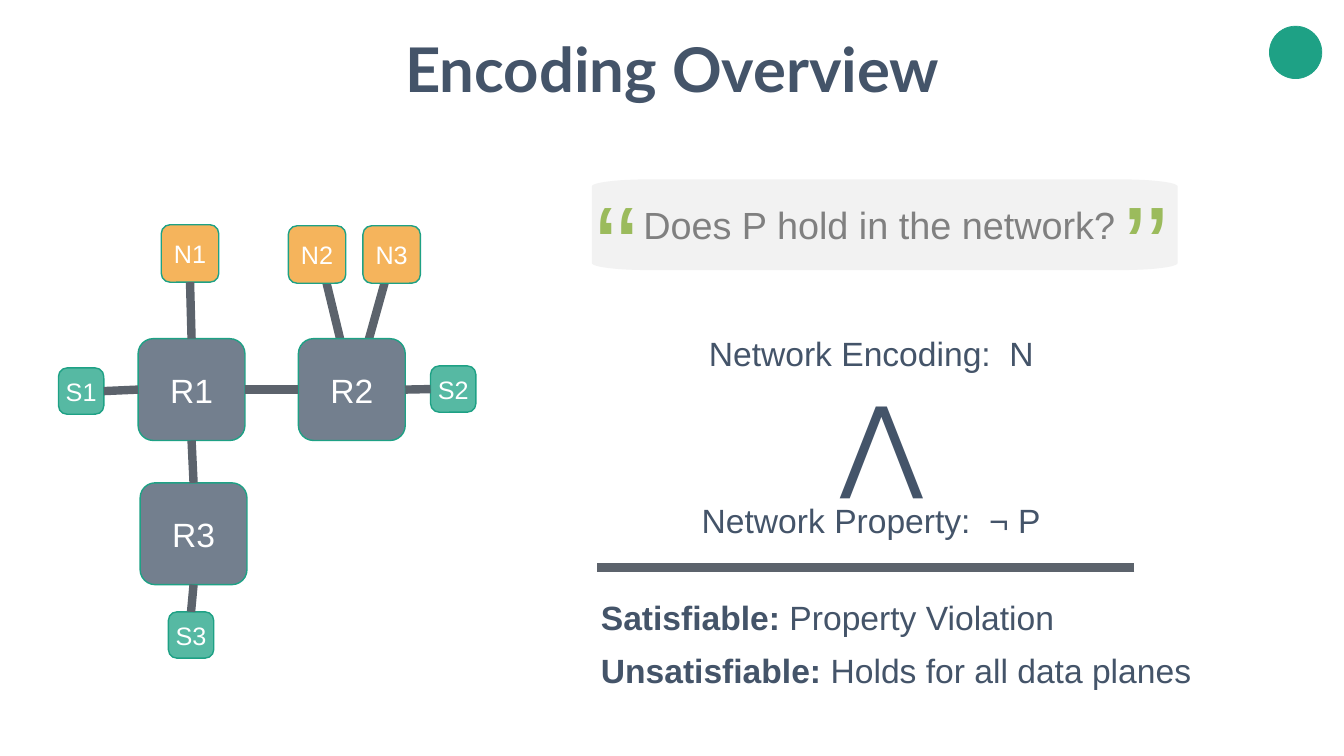
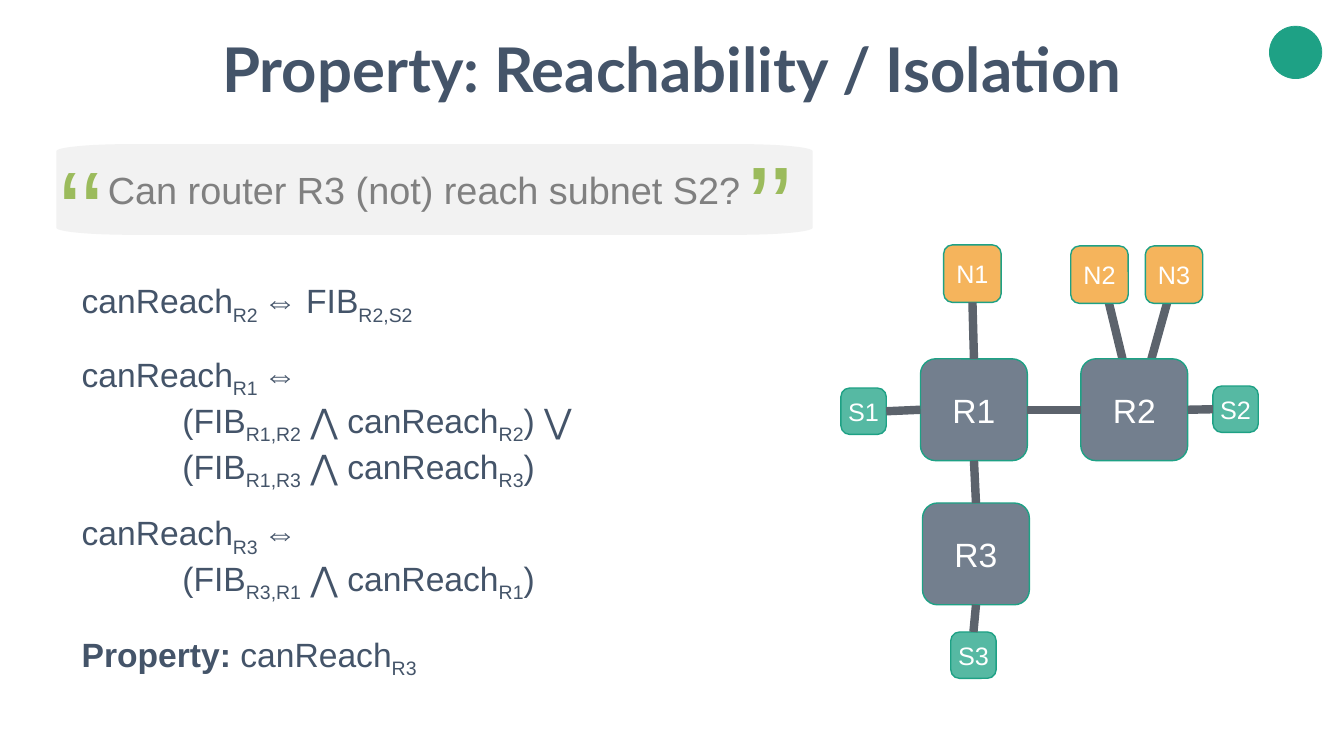
from math import cos, pi, sin

from lxml.etree import SubElement
from pptx import Presentation
from pptx.dml.color import RGBColor
from pptx.enum.shapes import MSO_CONNECTOR, MSO_SHAPE
from pptx.enum.text import MSO_ANCHOR, MSO_AUTO_SIZE, PP_ALIGN
from pptx.oxml.ns import qn
from pptx.util import Inches, Pt

COLORS = {
    "accent": "1EA185",
    "ink": "445469",
    "link": "5C636C",
    "router": "737F8E",
    "subnet": "56B9A3",
    "neighbor": "F5B45C",
    "panel": "F2F2F2",
    "question": "808080",
    "quote": "9BBB5C",
    "white": "FFFFFF",
}

# Each text style is a colour name and the font values that go with it.
TEXT_STYLES = {
    "title": ("ink", {"name": "Lato", "size": Pt(44), "bold": True}),
    "body": ("ink", {"name": "Arial", "size": Pt(24)}),
    "operator": ("ink", {"name": "Arial", "size": Pt(72)}),
    "question": ("question", {"name": "Arial", "size": Pt(27)}),
    "quote": ("quote", {"name": "Arial", "size": Pt(83)}),
    "router": ("white", {"name": "Arial", "size": Pt(24)}),
    "small node": ("white", {"name": "Arial", "size": Pt(18)}),
}

# Node kind: width, height, corner adjustment, text style.
NODE_KINDS = {
    "router": (1.06, 1.01, 0.148, "router"),
    "subnet": (0.45, 0.46, 0.191, "small node"),
    "neighbor": (0.57, 0.57, 0.152, "small node"),
}
NODES = {
    "R1": ("router", 1.37, 3.36),
    "R2": ("router", 2.96, 3.36),
    "R3": ("router", 1.39, 4.79),
    "S1": ("subnet", 0.58, 3.65),
    "S2": ("subnet", 4.27, 3.63),
    "S3": ("subnet", 1.67, 6.07),
    "N1": ("neighbor", 1.6, 2.23),
    "N2": ("neighbor", 2.86, 2.24),
    "N3": ("neighbor", 3.6, 2.24),
}
TOP, LEFT, BOTTOM, RIGHT = range(4)
LINKS = [
    ("N1", BOTTOM, "R1", TOP),
    ("R1", BOTTOM, "R3", TOP),
    ("R3", BOTTOM, "S3", TOP),
    ("S1", RIGHT, "R1", LEFT),
    ("R1", RIGHT, "R2", LEFT),
    ("R2", RIGHT, "S2", LEFT),
]
SLANTED_LINKS = [(3.47, 3.76, 3.14, 2.4), (3.54, 3.79, 3.92, 2.43)]


def color(name):
    return RGBColor.from_string(COLORS[name])


def formula(text):
    """Split at bars; every second piece is a subscript."""
    return [(piece, "sub" if index % 2 else "") for index, piece in enumerate(text.split("|"))]


class SlideBuilder:
    def __init__(self, deck):
        self.deck = deck
        self.page = None

    def start_page(self, title, title_width):
        self.page = self.deck.slides.add_slide(self.deck.slide_layouts[6])
        self.shape(MSO_SHAPE.OVAL, (12.59, 0.26, 0.52, 0.52), "accent", 0.5)
        left = 6.67 - title_width / 2
        self.text((left, 0.26, title_width, 0.84), [[(title, "")]], "title", align=PP_ALIGN.CENTER)

    def shape(self, preset, place, fill, line_width):
        shape = self.page.shapes.add_shape(preset, *map(Inches, place))
        shape.shadow.inherit = False
        shape.fill.solid()
        shape.fill.fore_color.rgb = color(fill)
        shape.line.color.rgb = color("accent")
        shape.line.width = Pt(line_width)
        return shape

    def add_spans(self, para, spans, style, spacing=None):
        """Add spans of (text, variant), where variant is '', 'bold' or 'sub'."""
        color_name, font_values = TEXT_STYLES[style]
        for text, variant in spans:
            span = para.add_run()
            span.text = text
            for key, value in font_values.items():
                setattr(span.font, key, value)
            span.font.color.rgb = color(color_name)
            properties = span._r.get_or_add_rPr()
            if variant == "bold":
                span.font.bold = True
            elif variant == "sub":
                properties.set("baseline", "-25000")
            if spacing is not None:
                properties.set("spc", str(spacing))

    def text(self, place, lines, style, align=PP_ALIGN.LEFT, wrap=False, spacing=None):
        """Add a text box; lines after the first are indented."""
        frame = self.page.shapes.add_textbox(*map(Inches, place)).text_frame
        side = Inches(0.05 if wrap else 0.03)
        values = {
            "margin_left": side,
            "margin_right": side,
            "margin_top": Inches(0.05),
            "margin_bottom": Inches(0.05),
            "word_wrap": wrap,
            "auto_size": MSO_AUTO_SIZE.SHAPE_TO_FIT_TEXT,
        }
        for key, value in values.items():
            setattr(frame, key, value)
        for index, spans in enumerate(lines):
            para = frame.add_paragraph() if index else frame.paragraphs[0]
            para.alignment = align
            if index:
                properties = para._p.get_or_add_pPr()
                properties.set("marL", str(Inches(1)))
                properties.set("indent", "0")
            self.add_spans(para, spans, style, spacing)

    def line(self, start_x=0, start_y=0, end_x=0, end_y=0):
        ends = map(Inches, (start_x, start_y, end_x, end_y))
        connector = self.page.shapes.add_connector(MSO_CONNECTOR.STRAIGHT, *ends)
        connector.line.color.rgb = color("link")
        connector.line.width = Pt(6)
        SubElement(connector._element.spPr, qn("a:effectLst"))
        return connector

    def node(self, name, kind, left, top):
        width, height, corner, style = NODE_KINDS[kind]
        node = self.shape(MSO_SHAPE.ROUNDED_RECTANGLE, (left, top, width, height), kind, 1)
        node.adjustments[0] = corner
        frame = node.text_frame
        for side in ("left", "top", "right", "bottom"):
            setattr(frame, f"margin_{side}", 0)
        frame.word_wrap = False
        frame.vertical_anchor = MSO_ANCHOR.MIDDLE
        frame.paragraphs[0].alignment = PP_ALIGN.CENTER
        self.add_spans(frame.paragraphs[0], [(name, "")], style)
        return node

    def network(self, shift_x=0, shift_y=0):
        for start_x, start_y, end_x, end_y in SLANTED_LINKS:
            self.line(start_x + shift_x, start_y + shift_y, end_x + shift_x, end_y + shift_y)
        nodes = {
            name: self.node(name, kind, left + shift_x, top + shift_y)
            for name, (kind, left, top) in NODES.items()
        }
        for start, start_side, end, end_side in LINKS:
            connector = self.line()
            connector.begin_connect(nodes[start], start_side)
            connector.end_connect(nodes[end], end_side)

    def panel(self, left, top, width, height, radius_x, radius_y):
        """Draw a rectangle whose corners are quarter ellipses."""
        corners = [
            (left + width - radius_x, top + height - radius_y),
            (left + radius_x, top + height - radius_y),
            (left + radius_x, top + radius_y),
            (left + width - radius_x, top + radius_y),
        ]
        steps = 12
        points = []
        for quarter, (center_x, center_y) in enumerate(corners):
            for step in range(steps + 1):
                angle = (quarter + step / steps) * pi / 2
                x = center_x + radius_x * cos(angle)
                y = center_y + radius_y * sin(angle)
                points.append((Inches(x), Inches(y)))
        outline = self.page.shapes.build_freeform(*points[0])
        outline.add_line_segments(points[1:], close=True)
        panel = outline.convert_to_shape()
        panel.shadow.inherit = False
        panel.fill.solid()
        panel.fill.fore_color.rgb = color("panel")
        panel.line.fill.background()

    def question(self, text, place, radius_x, text_width, closing_mark):
        left, top, width, height = place
        self.panel(left, top, width, height, radius_x, 0.07)
        self.text((left + 0.46, top + 0.17, text_width, 0.56), [[(text, "")]], "question", wrap=True)
        for mark, (x, y) in (("‘‘", (left - 0.24, top - 0.12)), ("’’", closing_mark)):
            self.text((x, y, 0.98, 1.5), [[(mark, "")]], "quote",
                      align=PP_ALIGN.CENTER, wrap=True, spacing=-150)


def add_encoding_page(builder):
    builder.start_page("Encoding Overview", 5.63)
    builder.network()
    builder.question("Does P hold in the network?", (5.87, 1.78, 5.81, 0.9), 0.56, 4.82, (10.88, 1.66))
    builder.text((7, 3.25, 3.31, 0.5), [[("Network Encoding:  N", "")]], "body")
    builder.text((6.93, 4.91, 3.44, 0.5), [[("Network Property:  ¬ P", "")]], "body")
    builder.text((8.31, 3.71, 0.72, 1.31), [[("⋀", "")]], "operator")
    builder.line(11.25, 5.63, 5.92, 5.63)
    outcomes = [
        ("Satisfiable: ", "Property Violation", 4.6),
        ("Unsatisfiable: ", "Holds for all data planes", 5.97),
    ]
    for row, (result, meaning, width) in enumerate(outcomes):
        spans = [(result, "bold"), (meaning, "")]
        builder.text((5.93, 5.87 + row * 0.53, width, 0.5), [spans], "body")


def add_reachability_page(builder):
    builder.start_page("Property: Reachability / Isolation", 9.6)
    builder.question("Can router R3 (not) reach subnet S2?", (0.56, 1.43, 7.5, 0.9), 0.73, 6.63, (7.15, 1.26))
    builder.network(7.76, 0.2)
    blocks = [
        (2.73, 3.53, 0.5, [formula("canReach|R2 |⇔ FIB|R2,S2")]),
        (3.46, 5.07, 1.31, [
            formula("canReach|R1 |⇔"),
            formula("(FIB|R1,R2| ⋀ canReach|R2|) ⋁"),
            formula("(FIB|R1,R3| ⋀ canReach|R3|)"),
        ]),
        (5.03, 4.66, 0.91, [
            formula("canReach|R3 |⇔"),
            formula("(FIB|R3,R1| ⋀ canReach|R1|)"),
        ]),
        (6.24, 3.44, 0.5, [[("Property:", "bold")] + formula(" canReach|R3")]),
    ]
    for top, width, height, lines in blocks:
        builder.text((0.78, top, width, height), lines, "body")


def main():
    deck = Presentation()
    deck.slide_width = Inches(13.33)
    deck.slide_height = Inches(7.5)
    builder = SlideBuilder(deck)
    add_encoding_page(builder)
    add_reachability_page(builder)
    deck.save("out.pptx")


if __name__ == "__main__":
    main()
